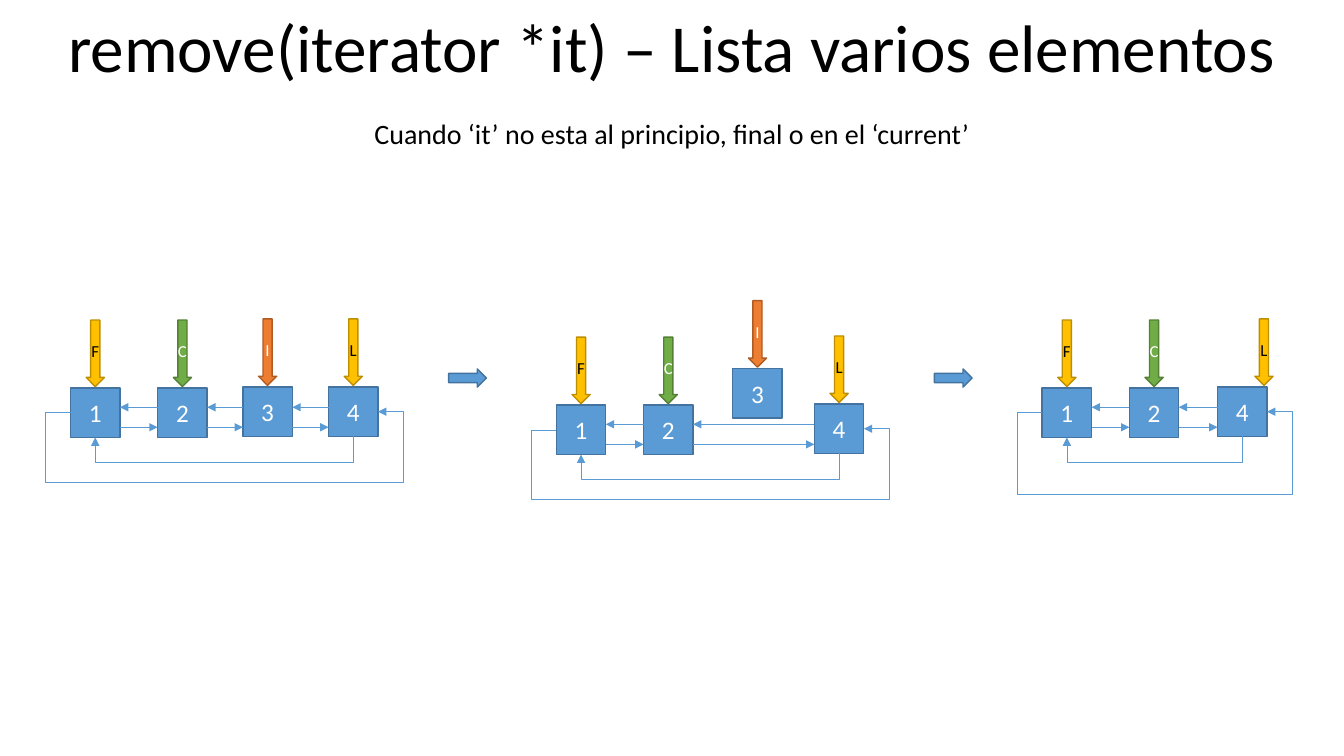
from dataclasses import dataclass
from lxml.etree import SubElement
from pptx import Presentation
from pptx.dml.color import RGBColor as RGB
from pptx.enum.shapes import MSO_CONNECTOR as CONN, MSO_SHAPE as SHAPE
from pptx.enum.text import MSO_ANCHOR as ANCHOR, PP_ALIGN as ALIGN
from pptx.oxml.ns import qn
from pptx.util import Pt


@dataclass(frozen=True)
class Theme:
    font: str = "Calibri"
    black: str = "000000"
    white: str = "FFFFFF"
    blue: tuple = ("5B9BD5", "43739E")
    gold: tuple = ("FFC000", "BD8E00")
    green: tuple = ("70AD47", "538035")
    orange: tuple = ("ED7D31", "AF5C24")
    title: int = 48
    subtitle: int = 20
    node: int = 18
    pointer: int = 12


theme = Theme()
prs = Presentation()
prs.slide_width, prs.slide_height = Pt(960), Pt(540)
s = prs.slides.add_slide(prs.slide_layouts[6])


def block(kind, x, y, w, h, colors=None, text="", size=theme.node, ink=theme.white):
    box = [Pt(v) for v in (x, y, w, h)]
    if kind is None:
        sp = s.shapes.add_textbox(*box)
    else:
        sp = s.shapes.add_shape(kind, *box)
        sp.shadow.inherit = False
        sp.fill.solid()
        sp.fill.fore_color.rgb = RGB.from_string(colors[0])
        sp.line.color.rgb = RGB.from_string(colors[1])
        sp.line.width = Pt(1)
    if not text:
        return
    tf = sp.text_frame
    tf.word_wrap = kind is None
    if kind is not None:
        tf.vertical_anchor = ANCHOR.MIDDLE
        tf.margin_left = tf.margin_right = tf.margin_top = tf.margin_bottom = 0
    p = tf.paragraphs[0]
    p.alignment = ALIGN.CENTER
    r = p.add_run()
    r.text = text
    r.font.name, r.font.size = theme.font, Pt(size)
    r.font.color.rgb = RGB.from_string(ink)


def link(x1, y1, x2, y2, preset=None, turn=None, bends=()):
    kind = CONN.ELBOW if preset else CONN.STRAIGHT
    cx = s.shapes.add_connector(kind, Pt(x1), Pt(y1), Pt(x2), Pt(y2))
    cx.line.color.rgb = RGB.from_string(theme.blue[0])
    cx.line.width = Pt(0.5)
    pr = cx._element.spPr
    SubElement(pr.find(qn("a:ln")), qn("a:tailEnd"), type="triangle")
    SubElement(pr, qn("a:effectLst"))
    if preset:
        xfrm, geom = pr.find(qn("a:xfrm")), pr.find(qn("a:prstGeom"))
        for name, value in turn.items():
            xfrm.set(name, value)
        geom.set("prst", preset)
        guides = geom.find(qn("a:avLst"))
        if guides is None:
            guides = SubElement(geom, qn("a:avLst"))
        for i, bend in enumerate(bends, 1):
            name = f"adj{i}"
            SubElement(guides, qn("a:gd"), name=name, fmla=f"val {round(bend * 100000)}")


block(None, 0.5, 0, 959, 65.5, text="remove(iterator *it) – Lista varios elementos",
      size=theme.title, ink=theme.black)
block(None, 0.5, 80, 959, 31.5, size=theme.subtitle, ink=theme.black,
      text="Cuando ‘it’ no esta al principio, final o en el ‘current’")

SIDE, MARGIN, STEP = 35.3, 18, 0.8
POINTER_W, POINTER_H, POINTER_RISE = 13, 47.5, 48.6
LEFT, PITCH = 50.4, 347
BACK, FORWARD = 13.7, 28

pointers = {
    "1": ("F", theme.gold, theme.black),
    "2": ("C", theme.green, theme.white),
    "3": ("I", theme.orange, theme.white),
    "4": ("L", theme.gold, theme.black),
}
first, second = ("1", 0, 0), ("2", 62.3, 0)
panels = [
    (277.2, 50.2, 0, [first, second, ("3", 123.1, -STEP), ("4", 184.3, -STEP)]),
    (289.4, 50.2, 0, [first, second, ("3", 126, -26), ("4", 184.3, -STEP)]),
    (277.2, 59, 15.5, [first, second, ("4", 125.3, -STEP)]),
]

for i, (top, drop, last_shift, nodes) in enumerate(panels):
    left = LEFT + i * PITCH
    for label, dx, dy in nodes:
        x, y = left + dx, top + dy
        block(SHAPE.RECTANGLE, x, y, SIDE, SIDE, theme.blue, label)
        letter, colors, ink = pointers[label]
        shift = last_shift if letter == "L" else 0
        block(SHAPE.DOWN_ARROW, x + (SIDE - POINTER_W) / 2 + shift, y - POINTER_RISE,
              POINTER_W, POINTER_H, colors, letter, theme.pointer, ink)

    chain = [left + dx for _, dx, dy in nodes if dy >= -STEP]
    for a, b in zip(chain, chain[1:]):
        link(b, top + BACK, a + SIDE, top + BACK)
        link(a + SIDE, top + FORWARD, b, top + FORWARD)

    span = chain[-1] - left
    mid_x, bottom = left + (span + SIDE) / 2, top + SIDE - STEP / 2
    link(mid_x - STEP / 2, bottom - span / 2, mid_x + STEP / 2, bottom + span / 2,
         "bentConnector3", {"rot": "5400000"}, [(MARGIN + STEP) / STEP])

    width, middle = span + SIDE, top + SIDE / 2
    link(left, middle - STEP, left + width, middle,
         "bentConnector5", {"rot": "10800000", "flipH": "1"},
         [-MARGIN / width, -drop / STEP, 1 + MARGIN / width])

for i in range(2):
    block(SHAPE.RIGHT_ARROW, 320.4 + i * PITCH, 263.5, 27, 13, theme.blue)

prs.save("out.pptx")
